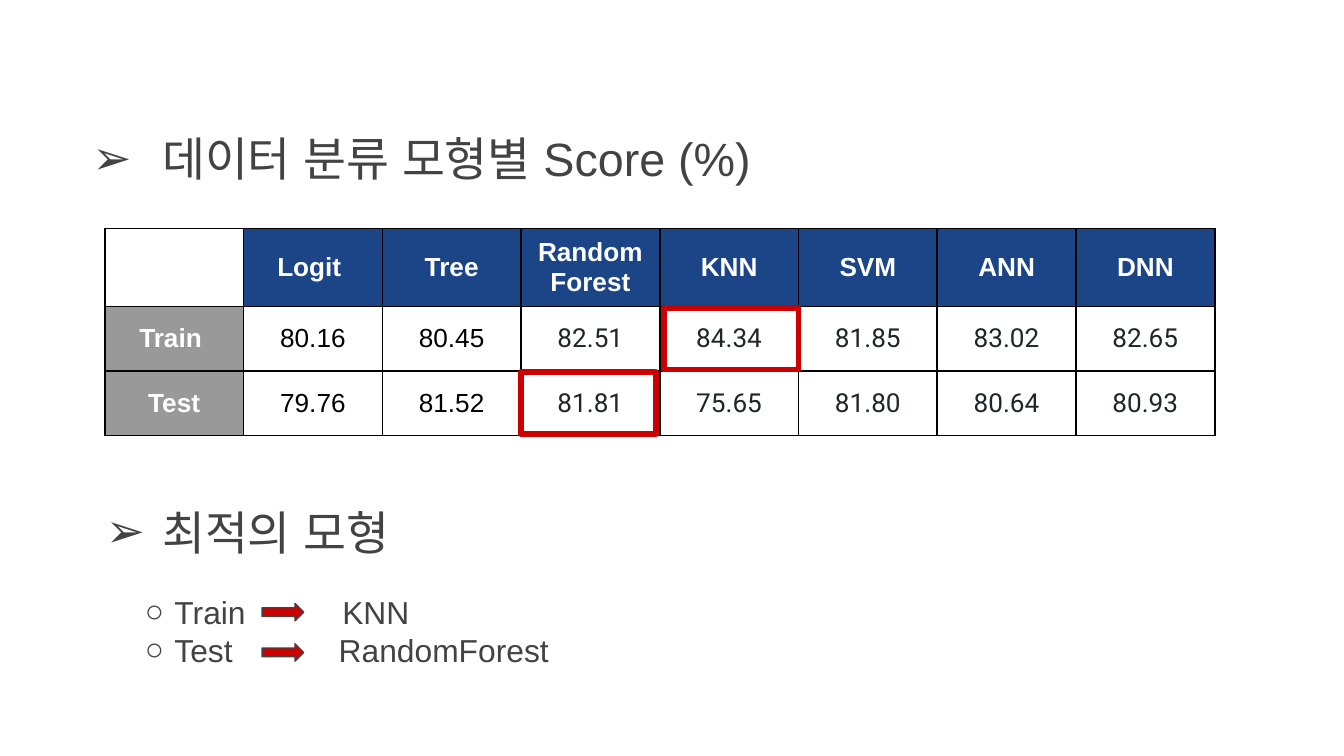
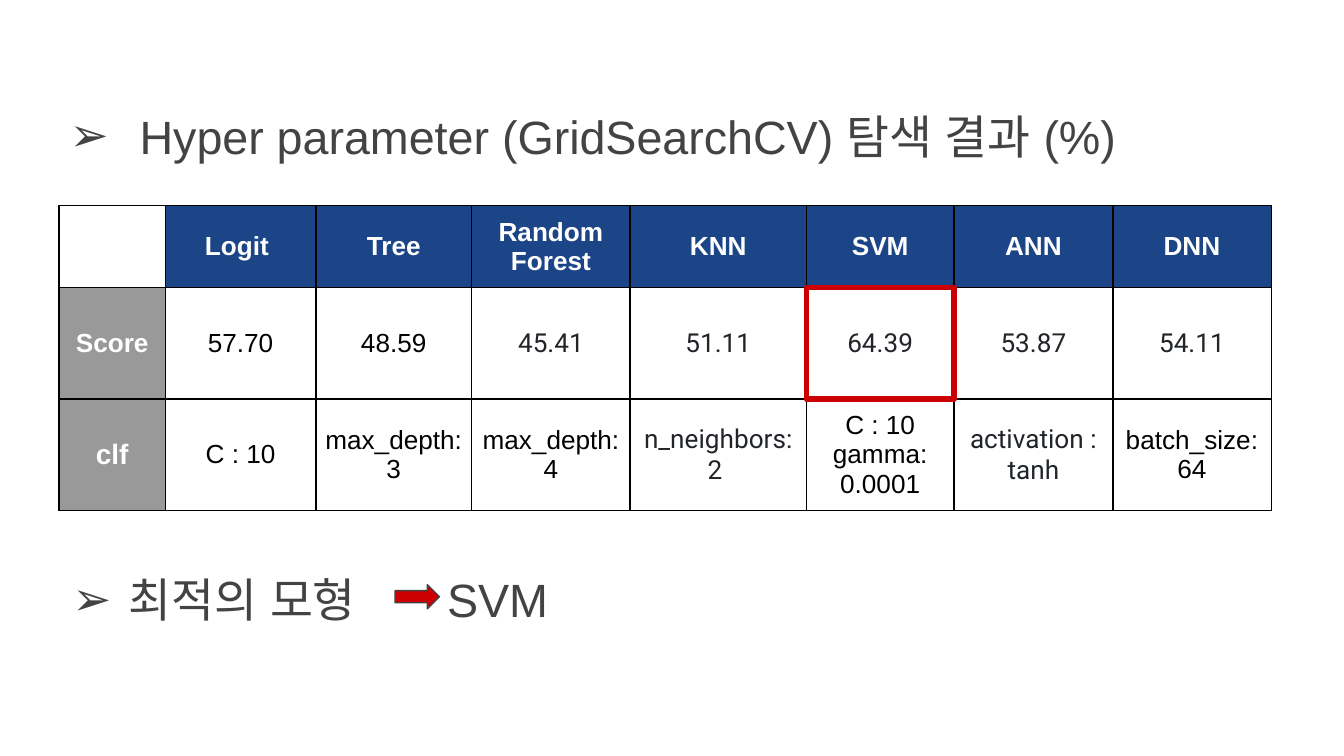
from itertools import product
from lxml.etree import SubElement
from pptx import Presentation
from pptx.dml.color import RGBColor
from pptx.enum.shapes import MSO_SHAPE
from pptx.enum.text import MSO_ANCHOR, PP_ALIGN
from pptx.oxml.ns import qn
from pptx.util import Inches, Pt

WIDTH = 10
HEIGHT = WIDTH * 9 / 16
COLORS = {
    "white": "FFFFFF", "black": "000000", "text": "434343", "body": "212529",
    "header": "1C4587", "label": "999999", "accent": "CC0000",
}
MODELS = ["", "Logit ", "Tree", "Random\nForest", "KNN", "SVM", "ANN", "DNN"]
HEADING = {"size": 25, "bullet": "➢", "indent": 0.5, "hang": 0.42}
# Headings whose text stands a little further from the bullet
TITLE = {**HEADING, "indent": 0.6, "hang": 0.52}
RESULT = {"size": 17, "bullet": "○", "indent": 1.38, "hang": 0.22}
HEAD_FONT = {"size": Pt(14), "name": "Arial", "bold": True}
PLAIN_FONT = {**HEAD_FONT, "bold": False}
ROBOTO_FONT = {**PLAIN_FONT, "name": "Roboto"}
CELL_MARGINS = {"margin_left": 0.07, "margin_right": 0.07,
                "margin_top": 0.05, "margin_bottom": 0.05}


def rgb(name):
    return RGBColor.from_string(COLORS[name])


def format_run(run, values, color):
    for name, value in values.items():
        setattr(run.font, name, value)
    run.font.color.rgb = rgb(color)
    # The same font for Korean and complex scripts
    for script in ("a:ea", "a:cs"):
        SubElement(run._r.get_or_add_rPr(), qn(script), typeface=values["name"])


def add_bullet(paragraph, style):
    properties = paragraph._p.get_or_add_pPr()
    properties.set("marL", str(Inches(style["indent"])))
    properties.set("indent", str(-Inches(style["hang"])))
    color = SubElement(properties, qn("a:buClr"))
    SubElement(color, qn("a:srgbClr"), val=COLORS["text"])
    SubElement(properties, qn("a:buFont"), typeface="Arial")
    SubElement(properties, qn("a:buChar"), char=style["bullet"])


def add_bullets(slide, left, top, width, lines, style):
    """Each line is (text,) or (text, gap in points, text)."""
    shape = slide.shapes.add_textbox(*map(Inches, (left, top, width, 0.66)))
    frame = shape.text_frame
    frame.word_wrap = True
    for side in ("left", "top", "right", "bottom"):
        setattr(frame, f"margin_{side}", Inches(0.1))
    for index, (text, *rest) in enumerate(lines):
        paragraph = frame.add_paragraph() if index else frame.paragraphs[0]
        add_bullet(paragraph, style)
        pieces = [(text, 0)]
        if rest:
            gap, answer = rest
            pieces += [(" ", gap), (answer, 0)]
        for words, spacing in pieces:
            run = paragraph.add_run()
            run.text = words
            format_run(run, {"size": Pt(style["size"]), "name": "Arial"}, "text")
            if spacing:  # one widened space leaves room for the arrow
                run._r.get_or_add_rPr().set("spc", str(spacing * 100))


def add_borders(cell):
    properties = cell._tc.get_or_add_tcPr()
    for index, side in enumerate(("lnL", "lnR", "lnT", "lnB")):
        line = SubElement(properties, qn(f"a:{side}"), w=str(Pt(1)))
        fill = SubElement(line, qn("a:solidFill"))
        SubElement(fill, qn("a:srgbClr"), val=COLORS["black"])
        properties.insert(index, line)


def fill_cell(cell, text, fill, font, color):
    cell.text = text
    cell.vertical_anchor = MSO_ANCHOR.MIDDLE
    for name, margin in CELL_MARGINS.items():
        setattr(cell, name, Inches(margin))
    if fill:
        cell.fill.solid()
        cell.fill.fore_color.rgb = rgb(fill)
    else:
        cell.fill.background()
    for paragraph in cell.text_frame.paragraphs:
        paragraph.alignment = PP_ALIGN.CENTER
        for run in paragraph.runs:
            format_run(run, font, color)
    add_borders(cell)


def add_scores(slide, grid, rows, extra_plain=()):
    """Models across, measures down; the first two models are set in Arial."""
    left, top, widths, heights = grid
    table = slide.shapes.add_table(
        len(heights), len(widths),
        *map(Inches, (left, top, sum(widths), sum(heights)))).table
    for column, width in zip(table.columns, widths):
        column.width = Inches(width)
    for row, height in zip(table.rows, heights):
        row.height = Inches(height)
    values = [MODELS, *rows]
    for row, column in product(range(len(heights)), range(len(widths))):
        if row == 0:
            look = ("header" if column else "white", HEAD_FONT, "white")
        elif column == 0:
            look = ("label", HEAD_FONT, "white")
        elif column < 3 or (row, column) in extra_plain:
            look = (None, PLAIN_FONT, "black")
        else:
            look = (None, ROBOTO_FONT, "body")
        fill_cell(table.cell(row, column), values[row][column], *look)
    return table


def add_outlined(slide, kind, box, fill, line, weight):
    shape = slide.shapes.add_shape(kind, *map(Inches, box))
    shape.shadow.inherit = False
    if fill:
        shape.fill.solid()
        shape.fill.fore_color.rgb = rgb(fill)
    else:
        shape.fill.background()
    shape.line.color.rgb = rgb(line)
    shape.line.width = Pt(weight)


def highlight(slide, grid, row, column, shift=(0, 0), trim=(0, 0)):
    left, top, widths, heights = grid
    box = (left + sum(widths[:column]) + shift[0],
           top + sum(heights[:row]) + shift[1],
           widths[column] - trim[0], heights[row] - trim[1])
    add_outlined(slide, MSO_SHAPE.RECTANGLE, box, None, "accent", 3)


def add_arrow(slide, *box):
    add_outlined(slide, MSO_SHAPE.RIGHT_ARROW, box, "accent", "text", 0.75)


def build_score_slide(slide):
    grid = (0.78, 1.7, [8.26 / 8] * 8, [0.58, 0.48, 0.48])
    add_bullets(slide, 0.51, 0.87, 9.32, [("데이터 분류 모형별 Score (%)",)], TITLE)
    add_scores(slide, grid, [
        ["Train ", "80.16", "80.45", "82.51", "84.34", "81.85", "83.02", "82.65"],
        ["Test", "79.76", "81.52", "81.81", "75.65", "81.80", "80.64", "80.93"],
    ])
    add_bullets(slide, -0.18, 4.31, 7.14,
                [("Train", 47, "KNN"), ("Test", 52, "RandomForest")], RESULT)
    add_bullets(slide, 0.61, 3.65, 9.32, [("최적의 모형",)], HEADING)
    # Best model of each row
    highlight(slide, grid, 1, 4, (0.03, 0.01), (0.03, 0.02))
    highlight(slide, grid, 2, 3, (0, 0.01), (0.03, 0.02))
    for line in range(2):
        add_arrow(slide, 1.95, 4.49 + 0.3 * line, 0.31, 0.13)


def build_search_slide(slide):
    grid = (0.44, 1.53, [0.79, 1.12, 1.16, 1.18, 1.31, 1.1, 1.18, 1.18],
            [0.61, 0.83, 0.83])
    add_bullets(slide, 0.34, 0.7, 9.32,
                [("Hyper parameter (GridSearchCV) 탐색 결과 (%)",)], TITLE)
    table = add_scores(slide, grid, [
        ["Score", "57.70", "48.59", "45.41", "51.11", "64.39", "53.87", "54.11"],
        ["clf", "C : 10", "max_depth:3", "max_depth:4", "n_neighbors: 2 ",
         "C : 10\ngamma: 0.0001", "activation : tanh", "batch_size: 64"],
    ], extra_plain={(2, 3), (2, 5), (2, 7)})
    table.cell(2, 0).text_frame.paragraphs[0].runs[0].font.size = Pt(15)
    add_bullets(slide, 0.36, 4.15, 9.32, [("최적의 모형", 42, "SVM")], HEADING)
    highlight(slide, grid, 1, 5)
    add_arrow(slide, 2.94, 4.35, 0.33, 0.18)


def main():
    presentation = Presentation()
    presentation.slide_width = Inches(WIDTH)
    presentation.slide_height = Inches(HEIGHT)
    for build in (build_score_slide, build_search_slide):
        slide = presentation.slides.add_slide(presentation.slide_layouts[6])
        slide.background.fill.solid()
        slide.background.fill.fore_color.rgb = rgb("white")
        build(slide)
    presentation.save("out.pptx")


main()
